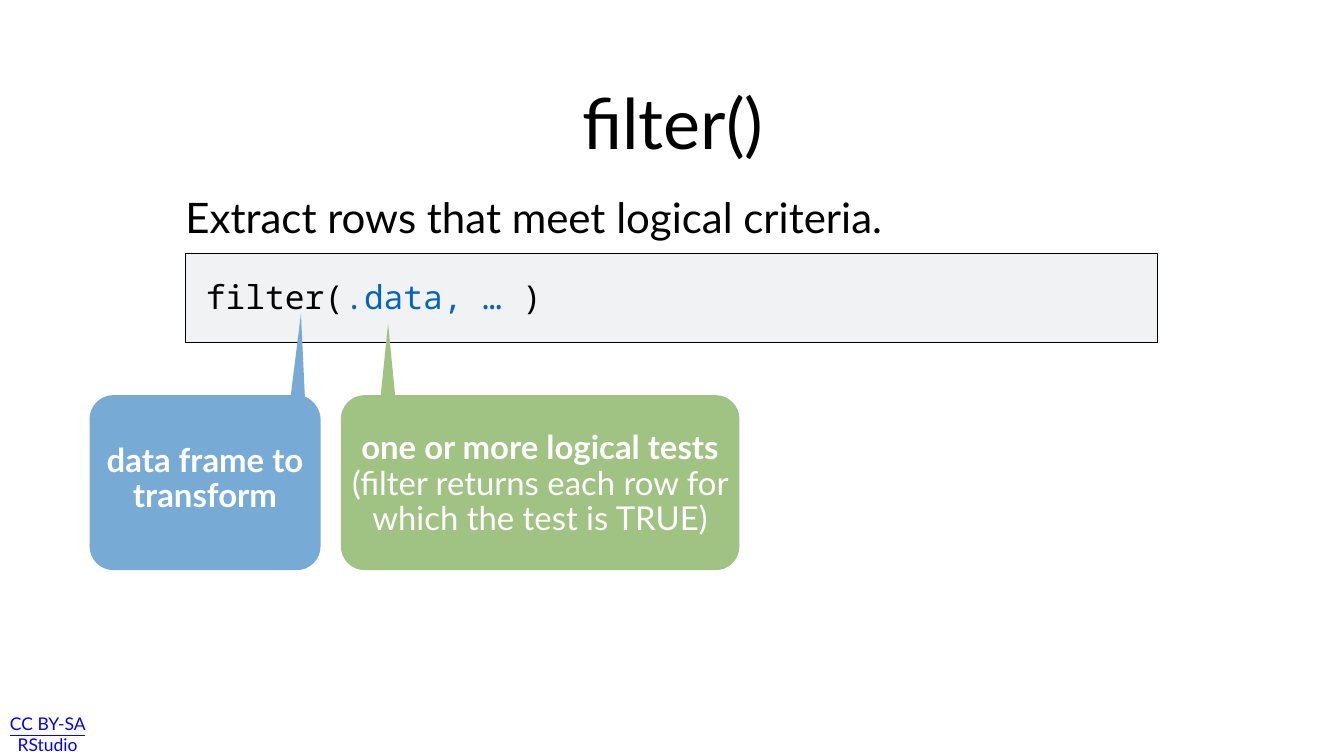
from lxml import etree
from pptx import Presentation
from pptx.dml.color import RGBColor
from pptx.enum import shapes, text
from pptx.oxml.ns import qn
from pptx.util import Pt

COLORS = {"black": "000000", "white": "FFFFFF", "link": "0000FF", "code": "0365C0",
          "panel": "F0F2F4", "green": "A0C283", "blue": "78AAD6"}
SANS, MONO = "Lato", "Noto Sans Mono"
CENTER, LEFT = text.PP_ALIGN.CENTER, text.PP_ALIGN.LEFT
MIDDLE, TOP = text.MSO_ANCHOR.MIDDLE, text.MSO_ANCHOR.TOP

# Content: runs are (text, color, bold); boxes are left, top, width, height
CODE_PANEL = (265, 362, 1389, 127.5)
LABELS = [
    dict(box=(0, 1027, 136, 43), runs=[("CC BY-SA RStudio", "link", False)],
         size=25, underline=True, inset=6),
    dict(box=(317, 79, 1289, 189), runs=[("filter()", "black", False)], size=100),
    dict(box=(265, 253.5, 1289, 112), size=60, align=LEFT, inset=0,
         runs=[("Extract rows that meet logical criteria.", "black", False)]),
    dict(box=(290, 391, 1241, 112), size=47, font=MONO, align=LEFT, anchor=TOP,
         runs=[("filter(", "black", False), (".data, … ", "code", False),
               (")", "black", False)]),
]
# Each tail is base left, tip, base right
CALLOUTS = [
    dict(left=487, width=569.5, fill="green",
         tail=[(544, 564.5), (554.5, 462), (564.5, 564.5)],
         runs=[("one or more logical tests ", "white", True),
               ("(filter returns each row for which the test is TRUE)", "white", False)]),
    dict(left=128, width=330, fill="blue",
         tail=[(415.5, 564.5), (430, 448), (435.6, 566.6)],
         runs=[("data frame to transform", "white", True)]),
]
BODY_TOP, BODY_HEIGHT, RADIUS = 564.5, 250, 34
TEXT_TOP_INSET = 113.5  # keeps the text below the tail
CURVE = 0.55            # how far a curve's handles reach towards its corner


def rgb(name):
    return RGBColor.from_string(COLORS[name])


def write(sp, runs, size, font=SANS, align=CENTER, anchor=MIDDLE, inset=4.3,
          top_inset=None, underline=None, spacing=None):
    tf = sp.text_frame
    tf.word_wrap = True
    tf.vertical_anchor = anchor
    tf.margin_left = tf.margin_right = tf.margin_bottom = Pt(inset)
    tf.margin_top = Pt(inset if top_inset is None else top_inset)
    p = tf.paragraphs[0]
    p.alignment = align
    p.line_spacing = spacing
    p.font.name, p.font.size, p.font.underline = font, Pt(size), underline
    for words, color, bold in runs:
        r = p.add_run()
        r.text = words
        r.font.color.rgb = rgb(color)
        r.font.bold = bold


def callout_corners(left, width, base_right):
    """Start, corner and end of each rounded corner, clockwise from top right."""
    right, bottom = left + width, BODY_TOP + BODY_HEIGHT
    x0, x1 = left + RADIUS, right - RADIUS
    y0, y1 = BODY_TOP + RADIUS, bottom - RADIUS
    # A tail that reaches into the top right corner shortens its curve
    sx, sy = base_right if base_right[0] > x1 else (x1, BODY_TOP)
    tangent_y = sy + (sx - x1) * (right - sx) / (y0 - sy)
    return [((sx, sy), (right, tangent_y), (right, y0)),
            ((right, y1), (right, bottom), (x1, bottom)),
            ((x0, bottom), (left, bottom), (left, y1)),
            ((left, y0), (left, BODY_TOP), (x0, BODY_TOP))]


def towards(a, b):
    return tuple(m + CURVE * (n - m) for m, n in zip(a, b))


def round_corner(sp, line, start, corner, end):
    """Replace the straight line across a corner by a curve."""
    curve = etree.Element(qn("a:cubicBezTo"))
    for x, y in (towards(start, corner), towards(end, corner), end):
        etree.SubElement(curve, qn("a:pt"), x=str(Pt(x) - sp.left), y=str(Pt(y) - sp.top))
    line.getparent().replace(line, curve)


def add_callout(slide, left, width, fill, tail, runs):
    base_left, tip, base_right = tail
    corners = callout_corners(left, width, base_right)
    points, ends = [tip, base_right], []
    for start, _, end in corners:
        points += [end] if start == points[-1] else [start, end]
        ends.append(len(points) - 2)
    points.append(base_left)

    outline = [(Pt(x), Pt(y)) for x, y in points]
    builder = slide.shapes.build_freeform(*outline[0])
    builder.add_line_segments(outline[1:], close=True)
    sp = builder.convert_to_shape()
    lines = list(sp.element.iter(qn("a:lnTo")))
    for corner, i in zip(corners, ends):
        round_corner(sp, lines[i], *corner)
    sp.shadow.inherit = False
    sp.fill.solid()
    sp.fill.fore_color.rgb = rgb(fill)
    sp.line.fill.background()
    write(sp, runs, 47, inset=6, top_inset=TEXT_TOP_INSET, spacing=0.9)


prs = Presentation()
prs.slide_width, prs.slide_height = Pt(1920.24), Pt(1080)
slide = prs.slides.add_slide(prs.slide_layouts[6])

# Code panel
panel = slide.shapes.add_shape(shapes.MSO_SHAPE.RECTANGLE, *map(Pt, CODE_PANEL))
panel.shadow.inherit = False
panel.fill.solid()
panel.fill.fore_color.rgb = rgb("panel")
panel.line.color.rgb = rgb("black")
panel.line.width = Pt(1)

# Licence, title, description and code
for label in LABELS:
    options = dict(label)
    write(slide.shapes.add_textbox(*map(Pt, options.pop("box"))), **options)

# Callouts
for callout in CALLOUTS:
    add_callout(slide, **callout)

prs.save("out.pptx")
